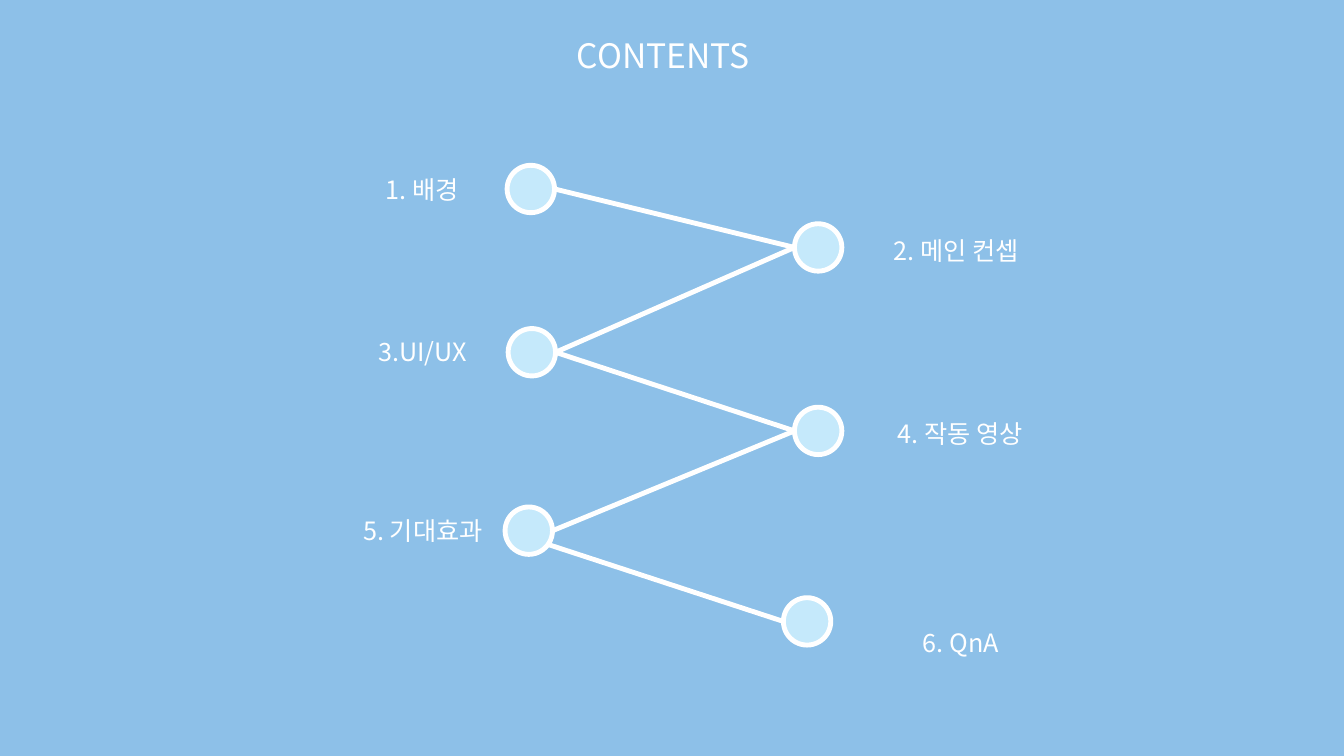
import pptx
import pptx.util
import pptx.dml.color
import pptx.enum.shapes
import pptx.enum.text
import pptx.oxml
import pptx.oxml.ns
from dataclasses import dataclass
from pptx.util import Inches

TITLE = "CONTENTS"
TOPICS = [
    {"text": "1. 배경", "dot": (5.03, 1.64), "label": (3.69, 1.68, 0.99)},
    {"text": "2. 메인 컨셉", "dot": (7.88, 2.22), "label": (8.69, 2.29, 1.59)},
    {"text": "3.UI/UX", "dot": (5.04, 3.26), "label": (3.59, 3.29, 1.21)},
    {"text": "4. 작동 영상", "dot": (7.88, 4.04), "label": (8.73, 4.1, 1.59)},
    {"text": "5. 기대효과", "dot": (5.01, 5.03), "label": (3.44, 5.06, 1.51)},
    {"text": "6. QnA", "dot": (7.77, 5.93), "label": (9, 6.17, 1.06)},
]
DOT = 0.47
LABEL_HEIGHT = 0.4
LAST_START = (5.4, 5.39)


@dataclass(frozen=True)
class Theme:
    font: str = "Noto Sans CJK KR"
    background: str = "8DC0E8"
    dot: str = "C5E9FB"
    white: str = "FFFFFF"
    title_size: int = 24
    label_size: int = 18
    line_width: float = 3.5


THEME = Theme()


def rgb(value):
    return pptx.dml.color.RGBColor.from_string(value)


def style_line(line):
    line.color.rgb = rgb(THEME.white)
    line.width = pptx.util.Pt(THEME.line_width)


def write(sp, text, size, align, wrap):
    tf = sp.text_frame
    tf.text = text
    tf.word_wrap = wrap
    tf.auto_size = pptx.enum.text.MSO_AUTO_SIZE.SHAPE_TO_FIT_TEXT
    tf.vertical_anchor = pptx.enum.text.MSO_ANCHOR.TOP
    p = tf.paragraphs[0]
    p.alignment = align
    p.line_spacing = 1.0
    p.space_before = pptx.util.Pt(0)
    p.font.name = THEME.font
    p.font.size = pptx.util.Pt(size)
    p.font.color.rgb = rgb(THEME.white)
    latin = p.font._element.find(pptx.oxml.ns.qn("a:latin"))
    ea = pptx.oxml.parse_xml(
        f'<a:ea {pptx.oxml.ns.nsdecls("a")} typeface="{THEME.font}"/>')
    latin.addnext(ea)


def inner_edge(topic, on_left):
    x, y = topic["dot"]
    return x + (DOT if on_left else 0), y + DOT / 2


def add_link(s, start, end):
    cn = s.shapes.add_connector(
        pptx.enum.shapes.MSO_CONNECTOR.STRAIGHT,
        *(Inches(v) for v in start + end))
    style_line(cn.line)
    cn._element.spPr.append(pptx.oxml.parse_xml(
        f'<a:effectLst {pptx.oxml.ns.nsdecls("a")}/>'))


def add_topic(s, topic):
    x, y = topic["dot"]
    sp = s.shapes.add_shape(pptx.enum.shapes.MSO_SHAPE.OVAL,
                            Inches(x), Inches(y), Inches(DOT), Inches(DOT))
    sp.shadow.inherit = False
    sp.fill.solid()
    sp.fill.fore_color.rgb = rgb(THEME.dot)
    style_line(sp.line)
    left, top, width = topic["label"]
    label = s.shapes.add_textbox(Inches(left), Inches(top),
                                 Inches(width), Inches(LABEL_HEIGHT))
    write(label, topic["text"], THEME.label_size,
          pptx.enum.text.PP_ALIGN.CENTER, False)


def main():
    prs = pptx.Presentation()
    prs.slide_width, prs.slide_height = Inches(13.33), Inches(7.5)
    s = prs.slides.add_slide(prs.slide_layouts[5])
    s.background.fill.solid()
    s.background.fill.fore_color.rgb = rgb(THEME.background)

    title = s.shapes.title
    title.left, title.top = Inches(5.62), Inches(0.3)
    title.width, title.height = Inches(2.48), Inches(0.5)
    write(title, TITLE, THEME.title_size, pptx.enum.text.PP_ALIGN.LEFT, True)

    edges = [inner_edge(t, i % 2 == 0) for i, t in enumerate(TOPICS)]
    starts = edges[:-2] + [LAST_START]
    for start, end in zip(starts, edges[1:]):
        add_link(s, start, end)
    for topic in TOPICS:
        add_topic(s, topic)

    prs.save("out.pptx")


if __name__ == "__main__":
    main()
